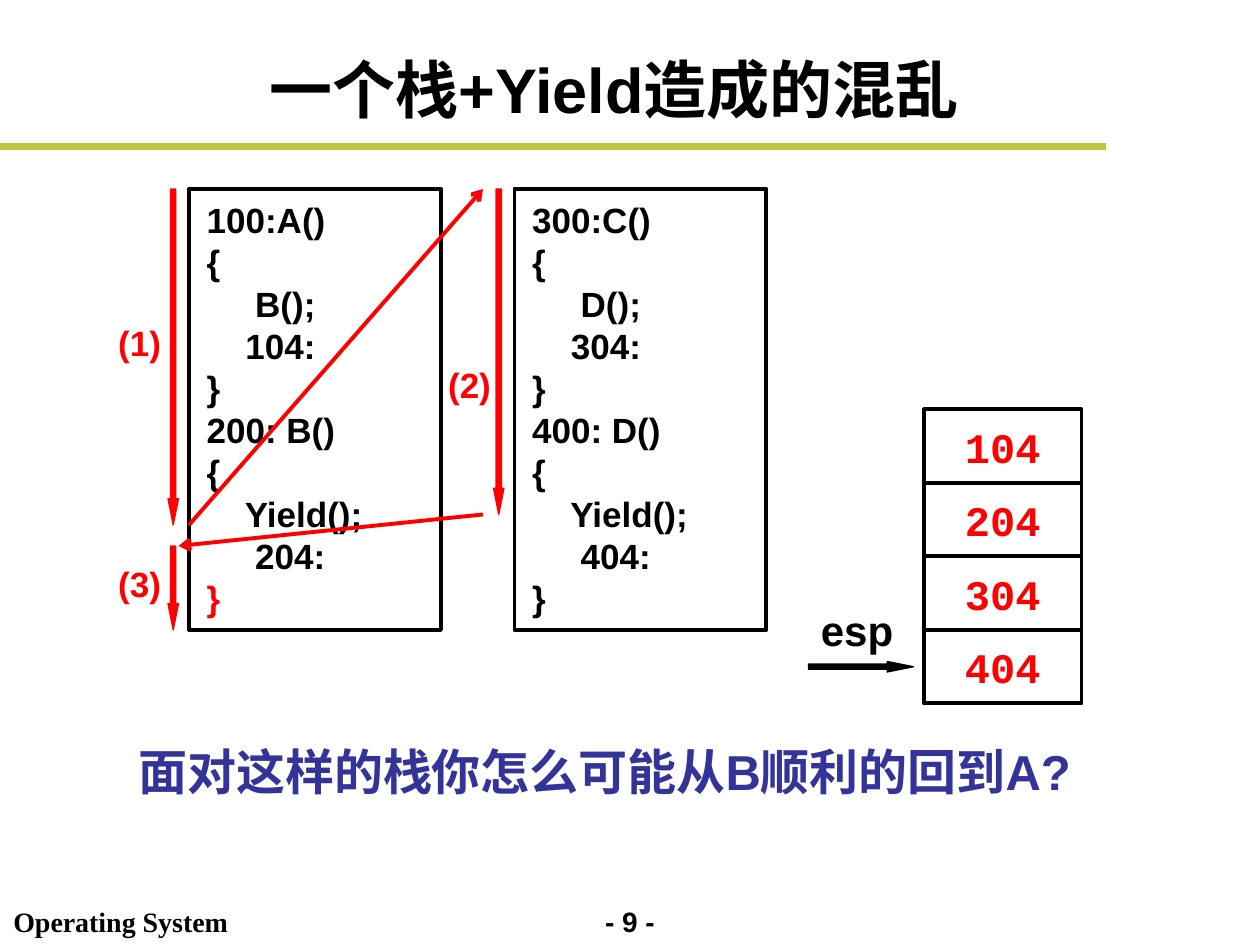
from lxml.etree import SubElement
from pptx import Presentation
from pptx.dml.color import RGBColor
from pptx.enum.shapes import MSO_CONNECTOR, MSO_SHAPE
from pptx.enum.text import MSO_ANCHOR, PP_ALIGN
from pptx.oxml.ns import qn
from pptx.util import Pt

BLACK, WHITE, RED, BLUE, OLIVE = "000000", "FFFFFF", "FF0000", "333399", "C1C43C"

presentation = Presentation()
presentation.slide_width = Pt(720)
presentation.slide_height = Pt(540)
slide = presentation.slides.add_slide(presentation.slide_layouts[6])


def write_text(frame, lines, size, color=BLACK, font="Arial", align=PP_ALIGN.LEFT):
    """Write bold lines, one paragraph each, with a line pitch of 1.2 times the size."""
    for index, line in enumerate(lines):
        paragraph = frame.paragraphs[0] if index == 0 else frame.add_paragraph()
        paragraph.alignment = align
        paragraph.line_spacing = Pt(size * 1.2)
        run = paragraph.add_run()
        run.text = line
        run.font.name = font
        run.font.size = Pt(size)
        run.font.bold = True
        run.font.color.rgb = RGBColor.from_string(color)


def add_filled_shape(kind, left, top, width, height, fill, line, line_width):
    shape = slide.shapes.add_shape(kind, Pt(left), Pt(top), Pt(width), Pt(height))
    shape.shadow.inherit = False
    shape.fill.solid()
    shape.fill.fore_color.rgb = RGBColor.from_string(fill)
    shape.line.color.rgb = RGBColor.from_string(line)
    shape.line.width = Pt(line_width)
    return shape


# Title and footer
for text, left, top, width, height, size, font, align in [
    ("一个栈+Yield造成的混乱", 30, 24, 642, 53, 36, "Arial", PP_ALIGN.CENTER),
    ("- 9 -", 324, 513.5, 72, 26.5, 16, "Arial", PP_ALIGN.CENTER),
    ("Operating System", 0.5, 513.5, 137, 26.5, 16, "Times New Roman", PP_ALIGN.LEFT),
]:
    frame = slide.shapes.add_textbox(Pt(left), Pt(top), Pt(width), Pt(height)).text_frame
    frame.word_wrap = True
    frame.vertical_anchor = MSO_ANCHOR.MIDDLE
    write_text(frame, [text], size, font=font, align=align)

# Code listings
listings = [
    (108, ["100:A()", "{", "     B();", "    104:", "}",
           "200: B()", "{", "    Yield();", "     204:", "}"]),
    (294, ["300:C()", "{", "     D();", "    304:", "}",
           "400: D()", "{", "    Yield();", "     404:", "}"]),
]
code_frames = []
for left, lines in listings:
    add_filled_shape(MSO_SHAPE.RECTANGLE, left, 108, 144, 252, WHITE, BLACK, 2.25)
    frame = slide.shapes.add_textbox(Pt(left + 3), Pt(110), Pt(124), Pt(248)).text_frame
    frame.word_wrap = True
    write_text(frame, lines, 20)
    code_frames.append(frame)
closing_brace = code_frames[0].paragraphs[-1].runs[0]
closing_brace.font.color.rgb = RGBColor.from_string(RED)

# Stack, growing downwards
for index, address in enumerate(["104", "204", "304", "404"]):
    cell = add_filled_shape(MSO_SHAPE.RECTANGLE, 528, 234 + 42 * index, 90, 42,
                            WHITE, BLACK, 2.25)
    cell.text_frame.vertical_anchor = MSO_ANCHOR.MIDDLE
    cell.text_frame.word_wrap = False
    write_text(cell.text_frame, [address], 24, RED, "Courier New", PP_ALIGN.CENTER)

# Block arrows: centre, length, rotation
for center_x, center_y, length, rotation, color in [
    (492, 381, 60, 0, BLACK),
    (99, 204, 192, 90, RED),
    (285, 201, 186, 90, RED),
    (99, 336, 48, 90, RED),
]:
    arrow = add_filled_shape(MSO_SHAPE.RIGHT_ARROW, center_x - length / 2, center_y - 3,
                             length, 6, color, color, 0.75)
    arrow.adjustments[0] = 0.5
    arrow.adjustments[1] = 2.5
    arrow.rotation = rotation

# Title rule and jumps between the listings
for start_x, start_y, end_x, end_y, color, width, has_head in [
    (0, 84, 632, 84, OLIVE, 4, False),
    (108, 300, 276, 108, RED, 2.25, True),
    (276, 294, 102, 312, RED, 2.25, True),
]:
    connector = slide.shapes.add_connector(MSO_CONNECTOR.STRAIGHT, Pt(start_x), Pt(start_y),
                                           Pt(end_x), Pt(end_y))
    connector.line.color.rgb = RGBColor.from_string(color)
    connector.line.width = Pt(width)
    if has_head:
        SubElement(connector.line._get_or_add_ln(), qn("a:tailEnd"), type="arrow")
    SubElement(connector._element.spPr, qn("a:effectLst"))

# Labels and closing question
for text, left, top, width, height, size, color in [
    ("(1)", 60.5, 180, 39, 32, 20, RED),
    ("(2)", 249, 204, 39, 32, 20, RED),
    ("(3)", 60.5, 318, 39, 32, 20, RED),
    ("esp", 462, 342, 60, 36, 24, BLACK),
    ("面对这样的栈你怎么可能从B顺利的回到A?", 72, 420, 567, 41, 28, BLUE),
]:
    frame = slide.shapes.add_textbox(Pt(left), Pt(top), Pt(width), Pt(height)).text_frame
    frame.word_wrap = False
    write_text(frame, [text], size, color)

presentation.save("out.pptx")
